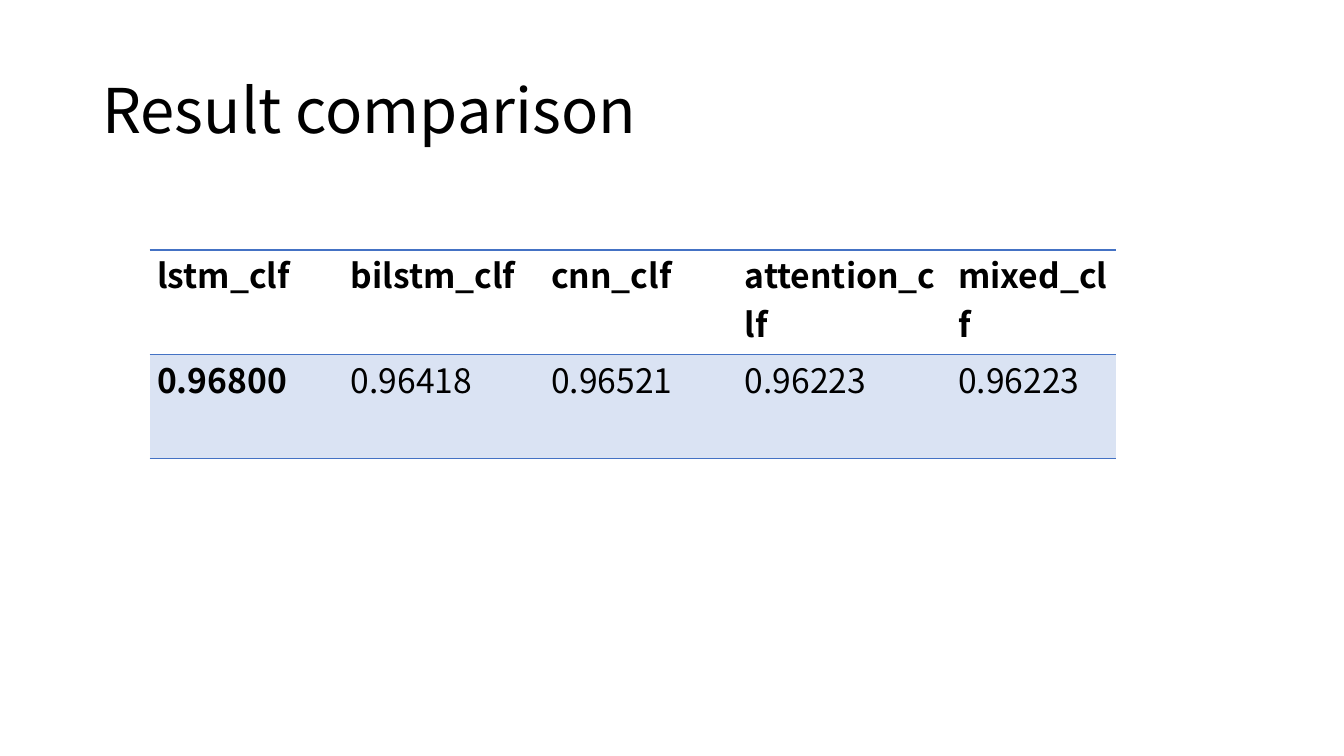
from lxml import etree
from pptx import Presentation
from pptx.dml.color import RGBColor
from pptx.enum.text import MSO_ANCHOR, PP_ALIGN
from pptx.oxml.ns import qn
from pptx.util import Cm, Pt

MIDDLE, TOP = MSO_ANCHOR.MIDDLE, MSO_ANCHOR.TOP
LEFT, JUSTIFY = PP_ALIGN.LEFT, PP_ALIGN.JUSTIFY
NO_STYLE = "{2D5ABB26-0587-4C30-8999-92F81FD0307C}"

SCORES = {
    "lstm_clf": "0.96800",
    "bilstm_clf": "0.96418",
    "cnn_clf": "0.96521",
    "attention_clf": "0.96223",
    "mixed_clf": "0.96223",
}
COLUMN_WIDTHS = [4.88, 5.05, 4.88, 5.38, 4.17]
ROW_HEIGHT = 2.63


def color(value):
    """Turn a hex string into a colour."""
    return RGBColor.from_string(value)


def write(frame, text, *, font, size, fill, bold=False, align=LEFT, spacing=None):
    """Write one formatted paragraph into a text frame."""
    frame.word_wrap = True
    paragraph = frame.paragraphs[0]
    paragraph.alignment = align
    paragraph.line_spacing = spacing
    run = paragraph.add_run()
    run.text = text
    run.font.name = font
    run.font.size = Pt(size)
    run.font.bold = bold
    run.font.color.rgb = color(fill)


class SlideBuilder:
    """Hold the style and the current slide."""

    font = "Noto Sans CJK SC"
    ink = "000000"
    rule = "4472C4"
    band = "DAE3F3"

    def __init__(self, slide):
        """Keep the slide to draw on."""
        self.slide = slide

    def title(self, text, left, top, width, height):
        """Add the slide title."""
        shape = self.slide.shapes.add_textbox(Cm(left), Cm(top), Cm(width), Cm(height))
        shape.text_frame.vertical_anchor = MIDDLE
        write(shape.text_frame, text, font=self.font, size=44, fill=self.ink, spacing=0.9)

    def border(self, cell, side):
        """Draw a one-point rule on one side of a cell."""
        properties = cell._tc.get_or_add_tcPr()
        line = etree.SubElement(properties, qn(f"a:{side}"), w=str(Pt(1)))
        solid = etree.SubElement(line, qn("a:solidFill"))
        etree.SubElement(solid, qn("a:srgbClr"), val=self.rule)

    def cell(self, cell, text, header, bold):
        """Format and fill one table cell."""
        cell.margin_left = cell.margin_right = Cm(0.19)
        cell.margin_top = cell.margin_bottom = Cm(0)
        cell.vertical_anchor = TOP
        for side in ("lnT", "lnB"):
            self.border(cell, side)
        if header:
            cell.fill.background()
        else:
            cell.fill.solid()
            cell.fill.fore_color.rgb = color(self.band)
        write(cell.text_frame, text, font=self.font, size=24, fill=self.ink,
              bold=bold, align=JUSTIFY)

    def table(self, rows, left, top, widths, row_height):
        """Add a ruled table with a header row and a bold first column."""
        table = self.slide.shapes.add_table(
            len(rows), len(widths), Cm(left), Cm(top),
            Cm(sum(widths)), Cm(row_height * len(rows))).table
        table._tbl.tblPr.find(qn("a:tableStyleId")).text = NO_STYLE
        table.horz_banding = False
        table.first_col = True
        for column, width in zip(table.columns, widths):
            column.width = Cm(width)
        for row_index, values in enumerate(rows):
            table.rows[row_index].height = Cm(row_height)
            header = row_index == 0
            for column_index, text in enumerate(values):
                self.cell(table.cell(row_index, column_index), text, header,
                          bold=header or column_index == 0)


def main():
    """Build and save the result comparison slide."""
    presentation = Presentation()
    presentation.slide_width = Cm(33.87)
    presentation.slide_height = Cm(19.05)
    slide = presentation.slides.add_slide(presentation.slide_layouts[6])
    builder = SlideBuilder(slide)
    builder.title("Result comparison", 2.33, 1.02, 29.21, 3.68)
    builder.table([list(SCORES), list(SCORES.values())], 3.77, 6.3,
                  COLUMN_WIDTHS, ROW_HEIGHT)
    presentation.save("out.pptx")


main()
